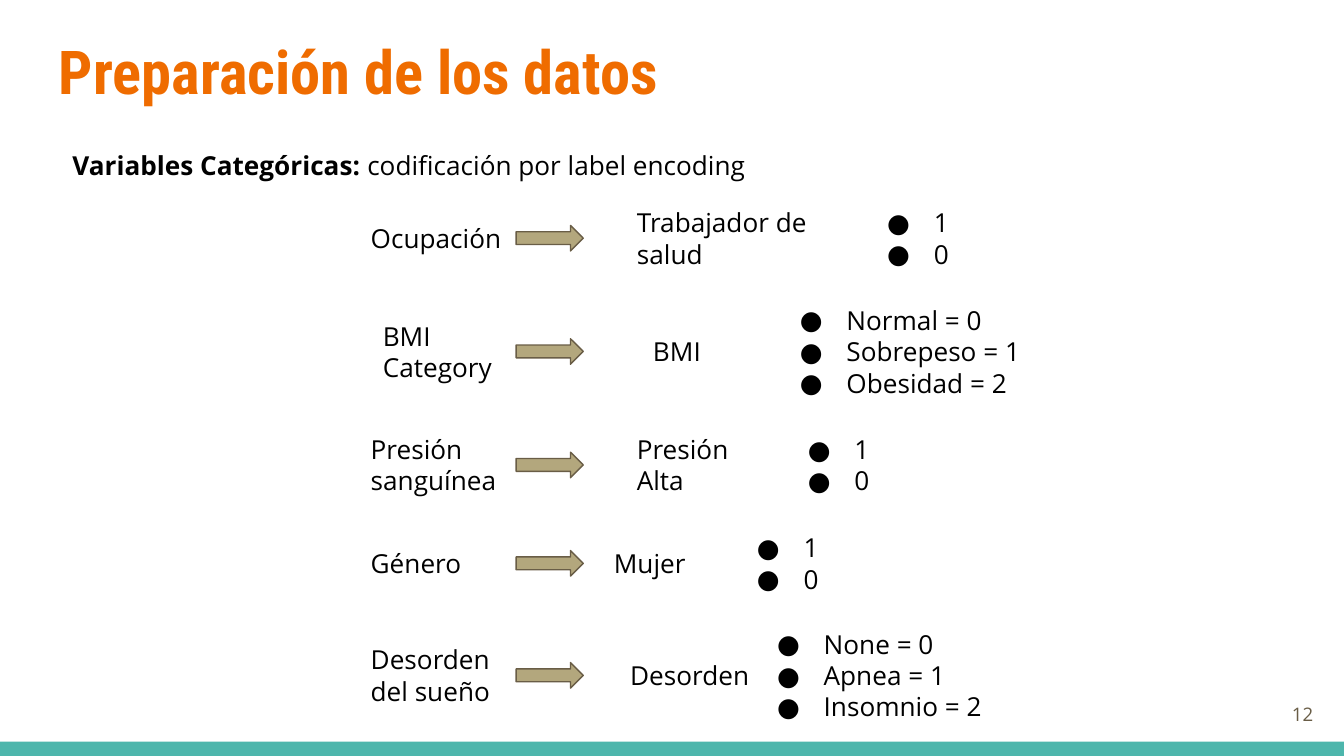
from lxml.etree import SubElement
from pptx import Presentation
from pptx.dml.color import RGBColor
from pptx.enum.shapes import MSO_SHAPE
from pptx.enum.text import MSO_ANCHOR, PP_ALIGN
from pptx.oxml.ns import qn
from pptx.util import Pt

COLORS = {
    "title": "EF6C00",
    "text": "000000",
    "footer": "4DB6AC",
    "arrow": "B3A77D",
    "muted": "695D46",
}
BODY_FONT = "Open Sans"
TITLE_FONT = "Roboto Condensed"
ARROW_LEFT, ARROW_WIDTH, ARROW_HEIGHT = 276.5, 36, 13.7

# Each row: centre height, then (text, left, width, line count) for the
# variable and its encoded name, then (values, left, width)
ROWS = [
    (127.6, ("Ocupación", 191.5, 85, 1), ("Trabajador de salud", 334.1, 108.7, 2),
     (["1", "0"], 457.2, 69)),
    (188.3, ("BMI Category", 198, 72.7, 2), ("BMI", 342.7, 108.7, 1),
     (["Normal = 0", "Sobrepeso = 1", "Obesidad = 2"], 410.4, 162.7)),
    (249.1, ("Presión sanguínea", 191.5, 85, 2), ("Presión Alta", 334.1, 69, 2),
     (["1", "0"], 414.7, 69)),
    (301.8, ("Género", 191.5, 85, 1), ("Mujer", 321.8, 69, 1),
     (["1", "0"], 387.4, 69)),
    (361.8, ("Desorden del sueño", 191.5, 85, 2), ("Desorden", 330.5, 108.7, 1),
     (["None = 0", "Apnea = 1", "Insomnio = 2"], 398.2, 162.7)),
]


def rgb(name):
    return RGBColor.from_string(COLORS[name])


def add_text_box(shapes, left, top, width, height):
    box = shapes.add_textbox(Pt(left), Pt(top), Pt(width), Pt(height))
    frame = box.text_frame
    frame.word_wrap = True
    frame.margin_left = frame.margin_right = Pt(7.2)
    frame.margin_top = frame.margin_bottom = Pt(7.2)
    return frame


def add_run(para, text, size=14, font=BODY_FONT, color="text", bold=False):
    span = para.add_run()
    span.text = text
    span.font.size = Pt(size)
    span.font.name = font
    span.font.bold = bold
    span.font.color.rgb = rgb(color)


def set_bullet(para):
    properties = para._p.get_or_add_pPr()
    properties.set("marL", str(Pt(36)))
    properties.set("indent", str(Pt(-25)))
    color = SubElement(properties, qn("a:buClr"))
    SubElement(color, qn("a:srgbClr"), val=COLORS["text"])
    SubElement(properties, qn("a:buSzPts"), val="1400")
    SubElement(properties, qn("a:buFont"), typeface=BODY_FONT)
    SubElement(properties, qn("a:buChar"), char="●")


def add_centred_box(shapes, left, middle, width, lines):
    height = 14.4 + 16.9 * lines
    return add_text_box(shapes, left, middle - height / 2, width, height)


def add_label(shapes, middle, label):
    text, left, width, lines = label
    frame = add_centred_box(shapes, left, middle, width, lines)
    add_run(frame.paragraphs[0], text)


def add_values(shapes, middle, values):
    items, left, width = values
    frame = add_centred_box(shapes, left, middle, width, len(items))
    for index, item in enumerate(items):
        para = frame.add_paragraph() if index else frame.paragraphs[0]
        set_bullet(para)
        add_run(para, item)


def add_filled_shape(shapes, kind, left, top, width, height, fill, line=None):
    shape = shapes.add_shape(kind, Pt(left), Pt(top), Pt(width), Pt(height))
    shape.shadow.inherit = False
    shape.fill.solid()
    shape.fill.fore_color.rgb = rgb(fill)
    if line:
        shape.line.color.rgb = rgb(line)
        shape.line.width = Pt(0.75)
    else:
        shape.line.fill.background()


def add_row(slide, middle, variable, encoded, values):
    shapes = slide.shapes.add_group_shape().shapes
    add_label(shapes, middle, variable)
    add_filled_shape(shapes, MSO_SHAPE.RIGHT_ARROW, ARROW_LEFT,
                     middle - ARROW_HEIGHT / 2, ARROW_WIDTH, ARROW_HEIGHT,
                     "arrow", "muted")
    add_label(shapes, middle, encoded)
    add_values(shapes, middle, values)


def main():
    deck = Presentation()
    deck.slide_width, deck.slide_height = Pt(720), Pt(405)
    page = deck.slides.add_slide(deck.slide_layouts[6])

    # Footer band
    add_filled_shape(page.shapes, MSO_SHAPE.RECTANGLE, 0, 397.4, 720, 7.6, "footer")

    # Title
    title = add_text_box(page.shapes, 24.5, 10.8, 671, 55.4)
    add_run(title.paragraphs[0], "Preparación de los datos", 32.4, TITLE_FONT,
            "title", True)

    # Page number
    number = add_text_box(page.shapes, 667.4, 367.2, 43.2, 31)
    number.vertical_anchor = MSO_ANCHOR.MIDDLE
    number.paragraphs[0].alignment = PP_ALIGN.RIGHT
    add_run(number.paragraphs[0], "12", 10, color="muted")

    # Introduction
    intro = add_text_box(page.shapes, 31.7, 72.7, 663.8, 31.7)
    add_run(intro.paragraphs[0], "Variables Categóricas: ", bold=True)
    add_run(intro.paragraphs[0], "codificación por label encoding")

    # Encoding of each variable
    for row in ROWS:
        add_row(page, *row)

    deck.save("out.pptx")


if __name__ == "__main__":
    main()
